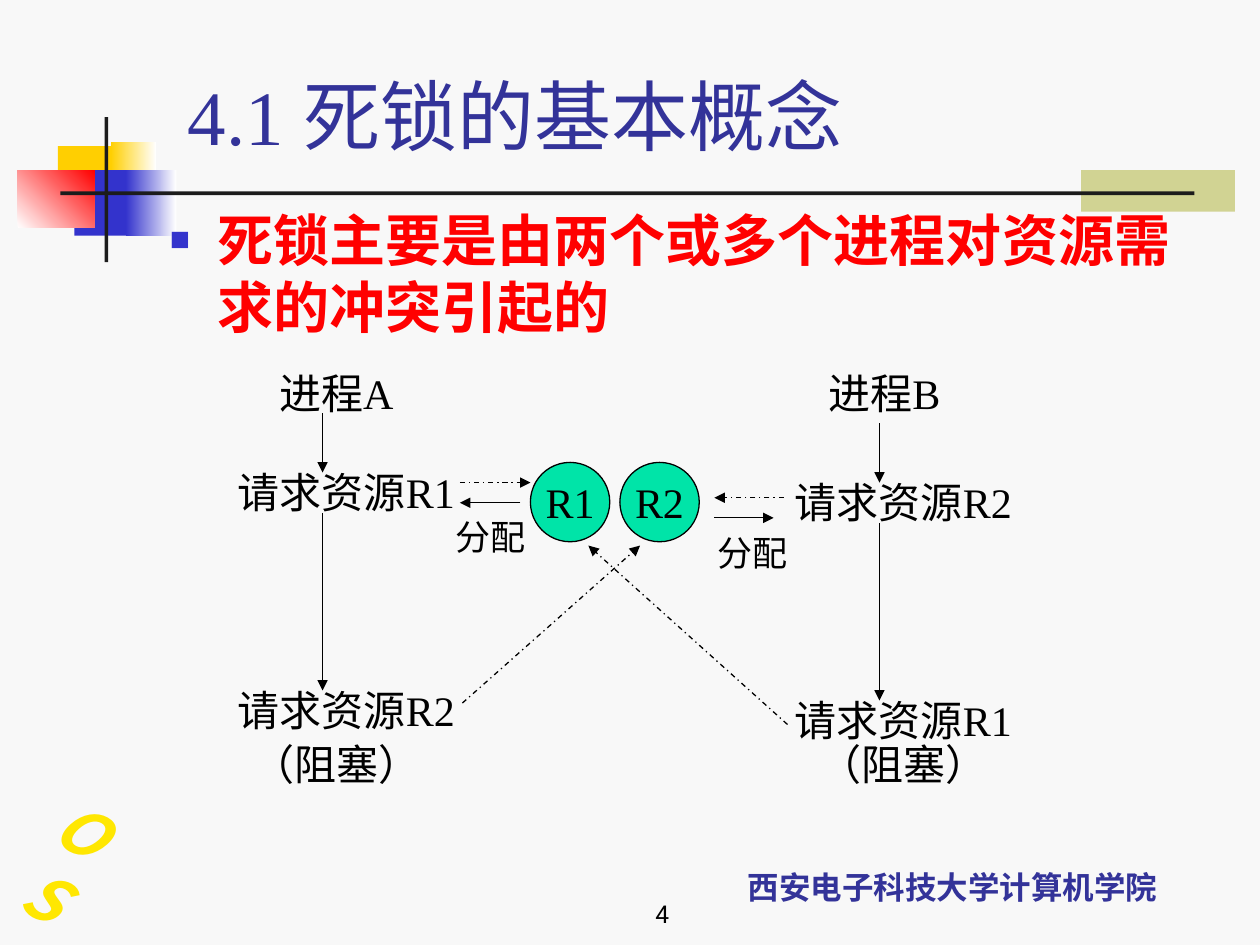
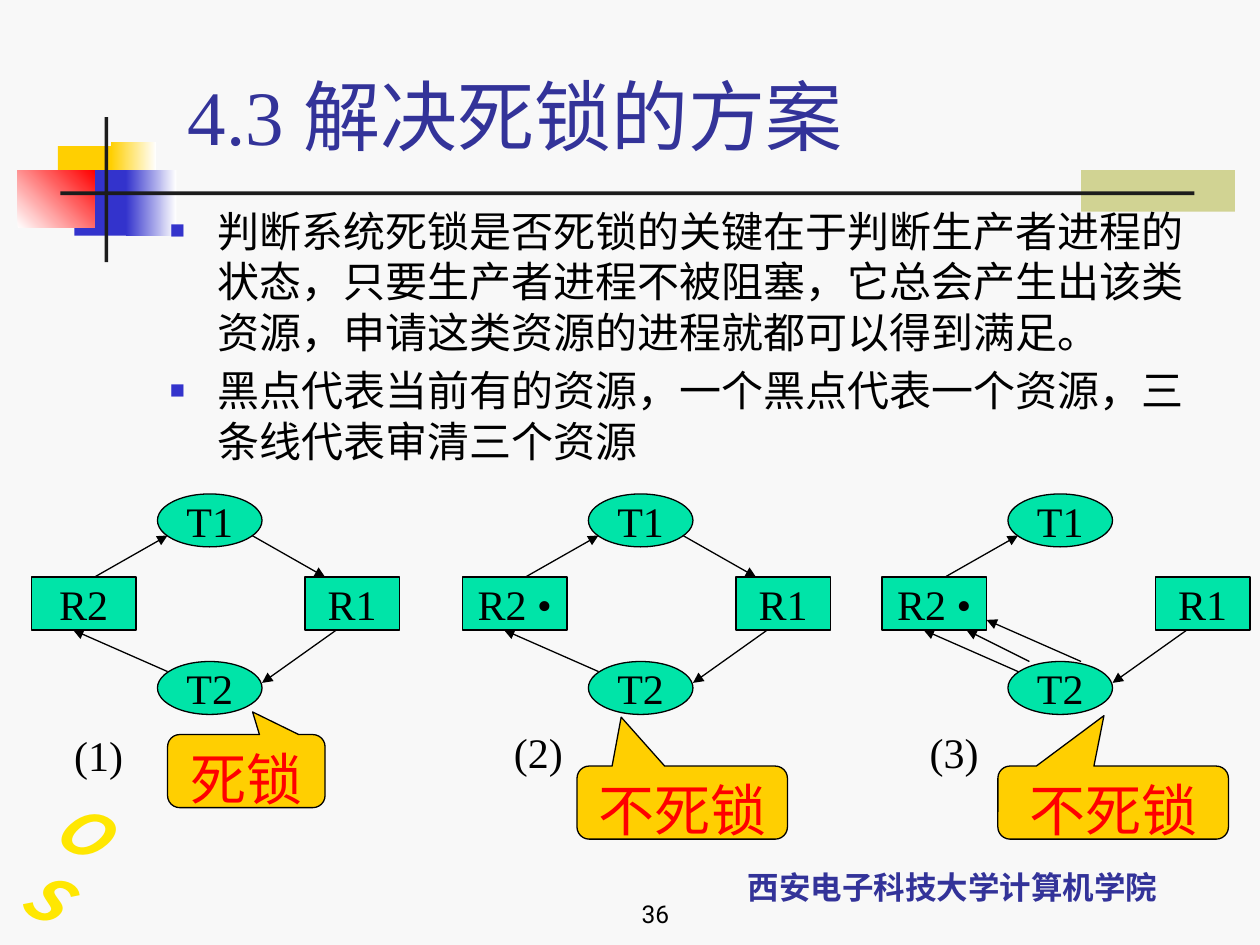
from lxml.etree import SubElement
from pptx import Presentation
from pptx.dml.color import RGBColor
from pptx.enum.dml import MSO_LINE
from pptx.enum.shapes import MSO_CONNECTOR, MSO_SHAPE
from pptx.enum.text import MSO_ANCHOR, PP_ALIGN
from pptx.oxml.ns import qn
from pptx.util import Inches, Pt

COLORS = {
    "background": "F8F8F8", "white": "FFFFFF", "black": "000000",
    "rule": "1C1C1C", "olive": "D1D393", "gold": "FFCF01",
    "blue": "3333CC", "heading": "333399", "red": "FF0000",
    "green": "00E4A8", "yellow": "FFE701",
}
SERIF, SANS, NUMBER = "Times New Roman", "Noto Sans CJK SC", "Roboto"


def color(name):
    """Return the named colour."""
    return RGBColor.from_string(COLORS[name])


def write(shape, text, size=24, ink="black", font=SERIF, bold=False, italic=False,
          align=PP_ALIGN.LEFT, anchor=MSO_ANCHOR.TOP, wrap=False, leading=None,
          bullet=False, spacing=None):
    """Fill a shape with formatted text, one paragraph per line."""
    frame = shape.text_frame
    frame.word_wrap = wrap
    frame.vertical_anchor = anchor
    for index, line in enumerate(text.split("\n")):
        paragraph = frame.add_paragraph() if index else frame.paragraphs[0]
        paragraph.alignment = align
        if leading:
            paragraph.line_spacing = Pt(round(size * leading, 1))
        if bullet:
            paragraph.space_before = Pt(size * 0.2)
            properties = paragraph._p.get_or_add_pPr()
            properties.set("marL", str(Inches(0.38)))
            properties.set("indent", str(Inches(-0.38)))
            bullet_color = SubElement(properties, qn("a:buClr"))
            SubElement(bullet_color, qn("a:srgbClr"), val=COLORS["blue"])
            SubElement(properties, qn("a:buSzPct"), val="60000")
            SubElement(properties, qn("a:buFont"), typeface=SERIF)
            SubElement(properties, qn("a:buChar"), char="■")
        run = paragraph.add_run()
        run.text = line
        run.font.size = Pt(size)
        run.font.bold = bold
        run.font.italic = italic
        run.font.name = font
        run.font.color.rgb = color(ink)
        properties = run._r.get_or_add_rPr()
        SubElement(properties, qn("a:ea"), typeface=SANS)
        if spacing:
            properties.set("spc", str(spacing))


class Deck:
    """Hold the shared style and the current slide."""

    def __init__(self):
        """Start a presentation with the shared background."""
        self.presentation = Presentation()
        self.presentation.slide_width = Inches(10)
        self.presentation.slide_height = Inches(7.5)
        fill = self.presentation.slide_master.background.fill
        fill.solid()
        fill.fore_color.rgb = color("background")
        self.slide = None

    def start_slide(self, title, number):
        """Add a slide with its title, decoration, footer and number."""
        self.slide = self.presentation.slides.add_slide(self.presentation.slide_layouts[5])
        heading = self.slide.shapes.title
        heading.left, heading.top = Inches(1.39), Inches(0.5)
        heading.width, heading.height = Inches(8.52), Inches(0.83)
        write(heading, title, size=44, ink="heading", anchor=MSO_ANCHOR.BOTTOM, wrap=True)
        self.decorate()
        self.text(3.33, 6.92, 2.08, 0.5, str(number), size=14, font=NUMBER,
                  align=PP_ALIGN.RIGHT, anchor=MSO_ANCHOR.BOTTOM, wrap=True)

    def decorate(self):
        """Draw the coloured blocks, rules, footer and corner letters."""
        self.shape(8.58, 1.35, 1.22, 0.33, "olive")
        self.shape(0.46, 1.16, 0.48, 0.52, "gold")
        self.gradient(0.88, 1.13, 0.36, 0.52, "gold", "white")
        self.shape(0.59, 1.35, 0.46, 0.52, "blue")
        self.gradient(1, 1.35, 0.4, 0.52, "blue", "white")
        self.gradient(0.14, 1.35, 0.61, 0.46, "white", "red", angle=45)
        self.shape(0.83, 0.93, 0.03, 1.15, "rule")
        self.shape(0.48, 1.52, 9, 0.03, "rule")
        self.text(5.31, 6.66, 4.5, 0.58, "西安电子科技大学计算机学院", size=18,
                  ink="heading", font=SANS, bold=True, align=PP_ALIGN.CENTER,
                  anchor=MSO_ANCHOR.BOTTOM, wrap=True)
        letters = self.text(0.18, 6.42, 0.66, 0.85, "OS", size=36, ink="yellow",
                            font=SANS, bold=True, italic=True, spacing=-180,
                            align=PP_ALIGN.CENTER, anchor=MSO_ANCHOR.MIDDLE, leading=1.2)
        letters.rotation = 29.3
        letters.element.txBody.find(qn("a:bodyPr")).set("vert", "wordArtVert")

    def shape(self, left, top, width, height, fill, kind=MSO_SHAPE.RECTANGLE, outline=False):
        """Add a filled preset shape."""
        shape = self.slide.shapes.add_shape(
            kind, Inches(left), Inches(top), Inches(width), Inches(height))
        shape.shadow.inherit = False
        shape.fill.solid()
        shape.fill.fore_color.rgb = color(fill)
        if outline:
            shape.line.color.rgb = color("black")
            shape.line.width = Pt(0.75)
        else:
            shape.line.fill.background()
        return shape

    def gradient(self, left, top, width, height, first, last, angle=0):
        """Add a rectangle that fades between two colours."""
        shape = self.shape(left, top, width, height, first)
        shape.fill.gradient()
        shape.fill.gradient_angle = angle
        for stop, name, position in zip(shape.fill.gradient_stops, (first, last), (0, 1)):
            stop.color.rgb = color(name)
            stop.position = position

    def text(self, left, top, width, height, text, **style):
        """Add a text box."""
        box = self.slide.shapes.add_textbox(
            Inches(left), Inches(top), Inches(width), Inches(height))
        write(box, text, **style)
        return box

    def label(self, left, top, width, height, text, size=24):
        """Add a centred one-line label without side margins."""
        box = self.text(left, top, width, height, text, size=size,
                        align=PP_ALIGN.CENTER, anchor=MSO_ANCHOR.MIDDLE)
        box.text_frame.margin_left = box.text_frame.margin_right = 0

    def node(self, left, top, width, height, text, kind=MSO_SHAPE.OVAL):
        """Add a green diagram node."""
        shape = self.shape(left, top, width, height, "green", kind, outline=True)
        write(shape, text, align=PP_ALIGN.CENTER, anchor=MSO_ANCHOR.MIDDLE)

    def arrow(self, x1, y1, x2, y2, dashed=False):
        """Add an arrow that points at its second end."""
        connector = self.slide.shapes.add_connector(
            MSO_CONNECTOR.STRAIGHT, Inches(x1), Inches(y1), Inches(x2), Inches(y2))
        connector.line.color.rgb = color("black")
        connector.line.width = Pt(0.75)
        if dashed:
            connector.line.dash_style = MSO_LINE.DASH_DOT
        properties = connector.element.spPr
        SubElement(properties.find(qn("a:ln")), qn("a:tailEnd"), type="triangle")
        SubElement(properties, qn("a:effectLst"))

    def callout(self, left, top, width, text, pointer):
        """Add a rounded verdict callout."""
        shape = self.shape(left, top, width, 0.58, "gold",
                           MSO_SHAPE.ROUNDED_RECTANGULAR_CALLOUT, outline=True)
        shape.adjustments[0], shape.adjustments[1] = pointer
        write(shape, text, size=32, ink="red", align=PP_ALIGN.CENTER, wrap=True, leading=1.2)


def build_concept(deck):
    """Build the slide on two processes competing for two resources."""
    deck.start_slide("4.1 死锁的基本概念", 4)
    deck.text(1.25, 1.58, 8.5, 1.25, "死锁主要是由两个或多个进程对资源需求的冲突引起的",
              size=32, ink="red", bold=True, bullet=True, wrap=True, leading=1.2)
    processes = [
        ("A", 1.92, 1.75, 1.92, 2.56, 0, "R1", "R2"),
        ("B", 6.27, 6.17, 6.42, 6.98, 0.08, "R2", "R1"),
    ]
    for name, name_left, request_left, blocked_left, axis, drop, first, second in processes:
        deck.label(name_left, 2.88, 1.5, 0.47, f"进程{name}")
        deck.label(request_left, 3.67 + drop, 2, 0.47, f"请求资源{first}")
        deck.label(request_left, 5.4 + drop, 2, 0.47, f"请求资源{second}")
        deck.label(blocked_left, 5.83, 1.5, 0.47, "（阻塞）")
        deck.arrow(axis, 3.28 + drop, axis, 3.75 + drop)
        deck.arrow(axis, 4.07 + drop, axis, 5.48 + drop)
    for resource, left in (("R1", 4.21), ("R2", 4.92)):
        deck.node(left, 3.67, 0.63, 0.63, resource)
    for left, top in ((3.42, 4.06), (5.5, 4.19)):
        deck.label(left, top, 0.95, 0.39, "分配", size=20)
    deck.arrow(4.13, 3.99, 3.65, 3.99)
    deck.arrow(5.67, 4.11, 6.14, 4.11)
    requests = [(3.65, 3.83, 4.21, 3.83), (6.22, 3.95, 5.67, 3.95),
                (3.67, 5.58, 5.08, 4.33), (6.25, 5.75, 4.67, 4.33)]
    for request in requests:
        deck.arrow(*request, dashed=True)


def build_solution(deck):
    """Build the slide that compares three resource graphs."""
    deck.start_slide("4.3 解决死锁的方案", 36)
    deck.text(1.25, 1.58, 8.5, 2.08,
              "判断系统死锁是否死锁的关键在于判断生产者进程的状态，只要生产者进程不被阻塞，"
              "它总会产生出该类资源，申请这类资源的进程就都可以得到满足。\n"
              "黑点代表当前有的资源，一个黑点代表一个资源，三条线代表审清三个资源",
              bullet=True, wrap=True, leading=1.2)
    shared_arrows = [(0.5, 4.58, 1.08, 4.25), (2.42, 5, 1.83, 5.42), (1.08, 5.33, 0.33, 5)]
    grant = [(1.75, 4.25, 2.33, 4.58)]
    extra_requests = [(1.17, 5.25, 0.67, 5), (1.58, 5.25, 0.83, 4.92)]
    graphs = [
        (0.25, "R2", grant, (0.49, 5.74), (1.33, 5.83, 1.25, "死锁", (0.04, -0.81))),
        (3.67, "R2 •", grant, (3.98, 5.72), (4.58, 6.08, 1.67, "不死锁", (-0.29, -1.17))),
        (7, "R2 •", extra_requests, (7.28, 5.72),
         (7.92, 6.08, 1.83, "不死锁", (-0.04, -1.19))),
    ]
    for number, (left, resource, own_arrows, caption, verdict) in enumerate(graphs, 1):
        deck.node(left + 1, 3.92, 0.83, 0.42, "T1")
        deck.node(left + 1, 5.25, 0.83, 0.42, "T2")
        deck.node(left, 4.58, 0.83, 0.42, resource, MSO_SHAPE.RECTANGLE)
        deck.node(left + 2.17, 4.58, 0.75, 0.42, "R1", MSO_SHAPE.RECTANGLE)
        for x1, y1, x2, y2 in shared_arrows + own_arrows:
            deck.arrow(left + x1, y1, left + x2, y2)
        deck.callout(*verdict)
        deck.text(*caption, 0.59, 0.5, f"({number})")


def main():
    """Build and save the presentation."""
    deck = Deck()
    build_concept(deck)
    build_solution(deck)
    deck.presentation.save("out.pptx")


if __name__ == "__main__":
    main()
